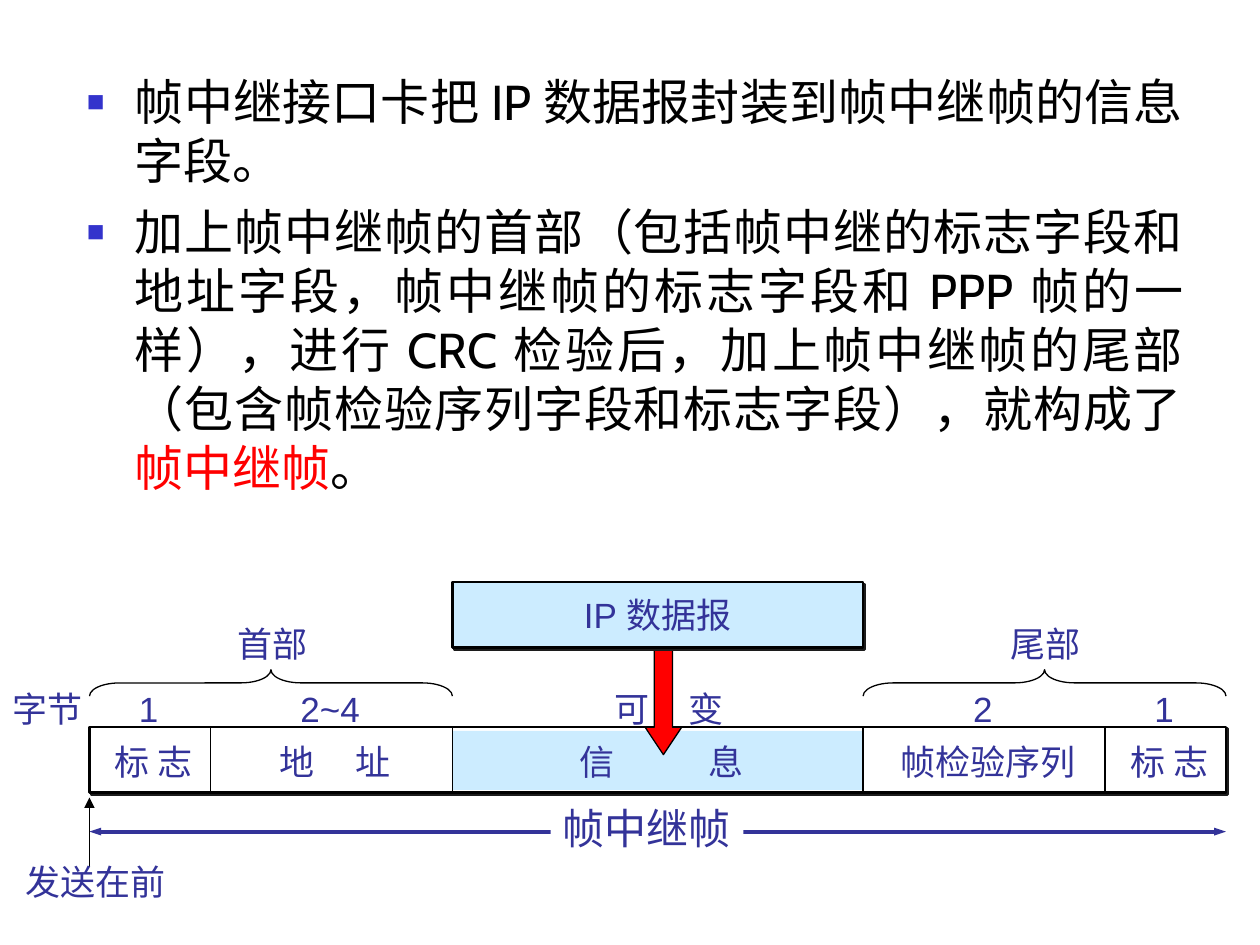
from pptx import Presentation, util as u
from pptx.dml.color import RGBColor
from pptx.enum import shapes, text
from pptx.oxml import parse_xml
from pptx.oxml.ns import nsdecls

KIND = shapes.MSO_SHAPE
INK, SKY, RED, BLACK, WHITE = "333399", "CCECFF", "FF0000", "000000", "FFFFFF"

POINTS = [
    [("帧中继接口卡把 IP 数据报封装到帧中继帧的信息字段。", BLACK)],
    [("加上帧中继帧的首部（包括帧中继的标志字段和地址字段，帧中继帧的标志字段和 "
      "PPP 帧的一样），进行 CRC 检验后，加上帧中继帧的尾部"
      "（包含帧检验序列字段和标志字段），就构成了", BLACK),
     ("帧中继帧", RED), ("。", BLACK)],
]
# field name, its tab stop, byte count, its tab stop, nudge of the count
FIELDS = [
    ("标 志", 0, "1", 0, 0),
    ("地\t址", 0.6, "2~4", 0, 0),
    ("信\t息", 1.02, "可\t变", 0.59, 0.1),
    ("帧检验序列", 0, "2", 0, 0),
    ("标 志", 0, "1", 0, 0),
]
EDGES = [0.71, 1.67, 3.59, 6.85, 8.77, 9.73]
GROUPS = [("首部", 0, 2), ("尾部", 3, 5)]
TOP, HIGH = 5.77, 0.52
LEFT, RIGHT = EDGES[0], EDGES[-1]
INFO, WIDE = EDGES[2], EDGES[3] - EDGES[2]

show = Presentation()
show.slide_width, show.slide_height = u.Inches(10), u.Inches(7.5)
slide = show.slides.add_slide(show.slide_layouts[1])


def rgb(code):
    return RGBColor.from_string(code)


def inch(*sizes):
    return [u.Inches(size) for size in sizes]


def add_xml(parent, body):
    tag, rest = body.split(" ", 1)
    node = parse_xml(f"<a:{tag} {nsdecls('a')} {rest}")
    parent.append(node)


def style(run, size, face, code):
    for key, value in {"size": u.Pt(size), "name": face}.items():
        setattr(run.font, key, value)
    run.font.color.rgb = rgb(code)


def write(frame, words, size=20, tab=0):
    """Put one line in a frame: centred, or split at a tab stop."""
    form = dict(word_wrap=bool(tab), auto_size=text.MSO_AUTO_SIZE.NONE,
                vertical_anchor=text.MSO_ANCHOR.MIDDLE,
                margin_left=0, margin_right=0)
    for key, value in form.items():
        setattr(frame, key, value)
    para = frame.paragraphs[0]
    para.alignment = text.PP_ALIGN.LEFT if tab else text.PP_ALIGN.CENTER
    if tab:
        add_xml(para._p.get_or_add_pPr(),
                f'tabLst ><a:tab pos="{u.Inches(tab)}" algn="l"/></a:tabLst>')
    run = para.add_run()
    run.text = words
    style(run, size, "Arial", INK)


def label(words, mid, top, tab=0, size=20, wide=1.6):
    left = mid - (tab + 0.28 if tab else wide) / 2
    box = slide.shapes.add_textbox(*inch(left, top, wide, 0.44))
    write(box.text_frame, words, size, tab)


def shape(kind, place, fill=None, edge=None, cast=False):
    form = slide.shapes.add_shape(kind, *inch(*place))
    form.shadow.inherit = False
    if fill:
        form.fill.solid()
        form.fill.fore_color.rgb = rgb(fill)
    else:
        form.fill.background()
    if edge:
        form.line.color.rgb = rgb(BLACK)
        form.line.width = u.Pt(edge)
    else:
        form.line.fill.background()
    if cast:
        add_xml(form.shadow._element.effectLst,
                'outerShdw blurRad="0" dist="17960" dir="2700000">'
                '<a:srgbClr val="1C1C1C"/></a:outerShdw>')
    return form


def line(start, end, code=BLACK, width=0.75, ends=(), thick="med"):
    wire = slide.shapes.add_connector(
        shapes.MSO_CONNECTOR.STRAIGHT, *inch(*start, *end))
    wire.line.color.rgb = rgb(code)
    wire.line.width = u.Pt(width)
    for tip in ends:
        add_xml(wire.line._get_or_add_ln(),
                f'{tip} type="triangle" w="{thick}" len="med"/>')
    add_xml(wire._element.spPr, "effectLst />")


def fill_body():
    title, body = slide.placeholders
    title._element.getparent().remove(title._element)
    body.left, body.top, body.width, body.height = inch(0.59, 0.52, 8.9, 4.25)
    frame = body.text_frame
    frame.auto_size = text.MSO_AUTO_SIZE.NONE
    for row, parts in enumerate(POINTS):
        para = frame.add_paragraph() if row else frame.paragraphs[0]
        para.alignment = text.PP_ALIGN.JUSTIFY
        para.space_before = u.Pt(7 if row else 0)
        props = para._p.get_or_add_pPr()
        props.set("marL", str(u.Inches(0.38)))
        props.set("indent", str(-u.Inches(0.38)))
        for mark in ('buClr ><a:srgbClr val="3333CC"/></a:buClr>',
                     'buSzPct val="60000"/>', 'buFont typeface="Arial"/>',
                     'buChar char="■"/>'):
            add_xml(props, mark)
        for words, code in parts:
            run = para.add_run()
            run.text = words
            style(run, 28, "Cabin", code)


def draw_frame():
    shape(KIND.RECTANGLE, (LEFT, TOP, RIGHT - LEFT, HIGH), WHITE, 1.5, True)
    shape(KIND.RECTANGLE, (INFO, TOP + 0.03, WIDE, HIGH - 0.05), SKY)
    for x in EDGES[1:-1]:
        line((x, TOP), (x, TOP + HIGH))
    label("字节", 0.38, 5.4, wide=0.75)
    for field, a, b in zip(FIELDS, EDGES, EDGES[1:]):
        name, stop, count, gap, nudge = field
        mid = (a + b) / 2
        label(name, mid + 0.03, 5.82, stop)
        label(count, mid - 0.01 + nudge, 5.4, gap)
    for name, first, last in GROUPS:
        a, b = EDGES[first], EDGES[last]
        mid, span, deep = (a + b) / 2, b - a, 0.21
        brace = shape(KIND.LEFT_BRACE,
                      (mid - deep / 2, 5.42 - span / 2, deep, span), edge=0.75)
        brace.adjustments[0] = 1.14
        brace.rotation = 90
        label(name, mid + 0.01, 4.89)


def draw_notes():
    line((LEFT, 6.6), (RIGHT, 6.6), INK, 2.25, ("headEnd", "tailEnd"), "sm")
    name = shape(KIND.RECTANGLE, (4.37, 6.32, 1.53, 0.5), WHITE)
    write(name.text_frame, "帧中继帧", 24)
    line((LEFT, 6.88), (LEFT, 6.33), ends=("tailEnd",))
    label("发送在前", 0.76, 6.78, wide=1.3)


def draw_packet():
    arrow = shape(KIND.DOWN_ARROW, (5.12, 5.13, 0.29, 0.86), RED, 0.75)
    arrow.adjustments[0], arrow.adjustments[1] = 0.5, 0.75
    box = shape(KIND.RECTANGLE, (INFO, 4.62, WIDE, HIGH), SKY, 1.5, True)
    write(box.text_frame, "IP 数据报")


fill_body()
draw_notes()
draw_frame()
draw_packet()
show.save("out.pptx")
